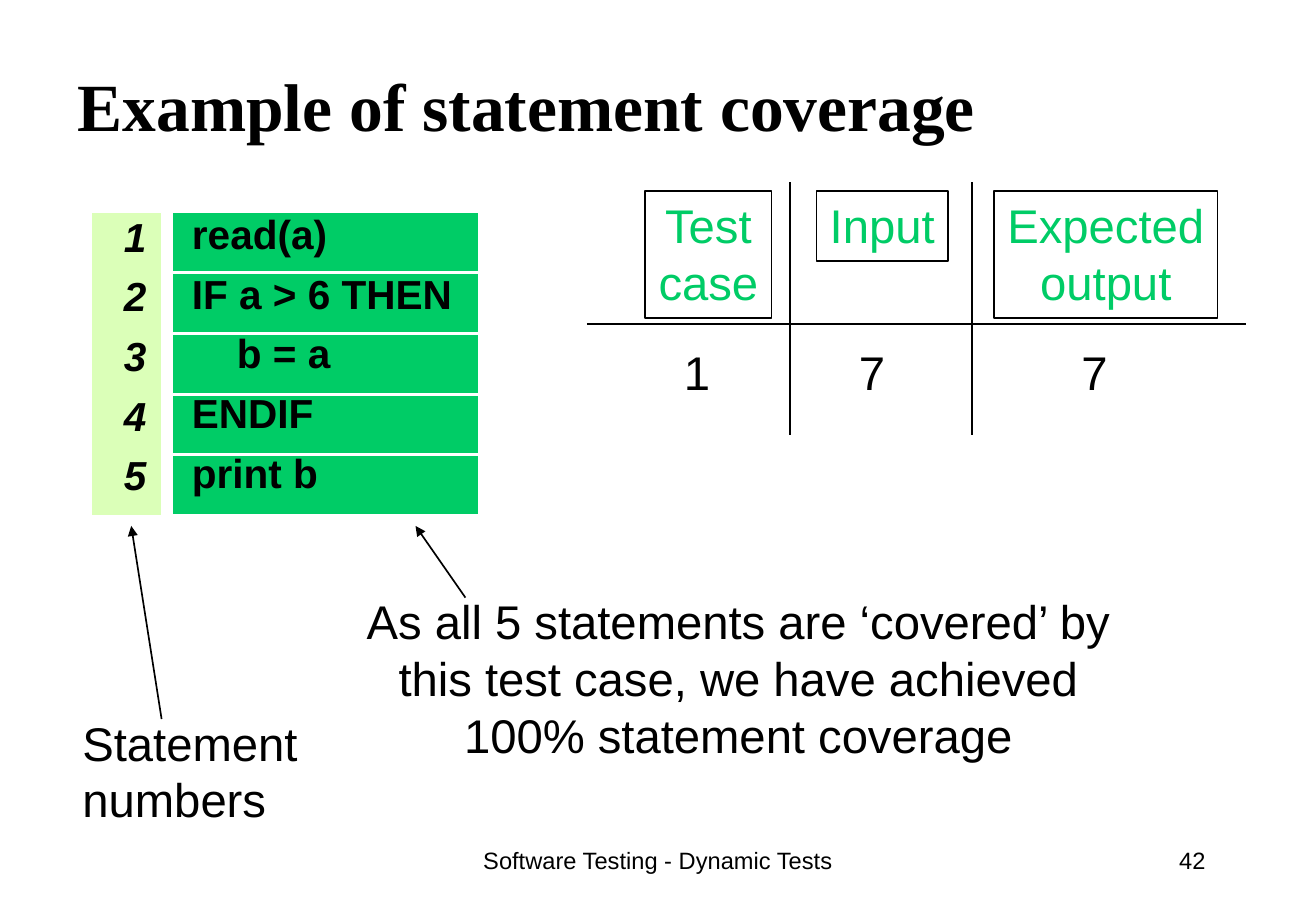
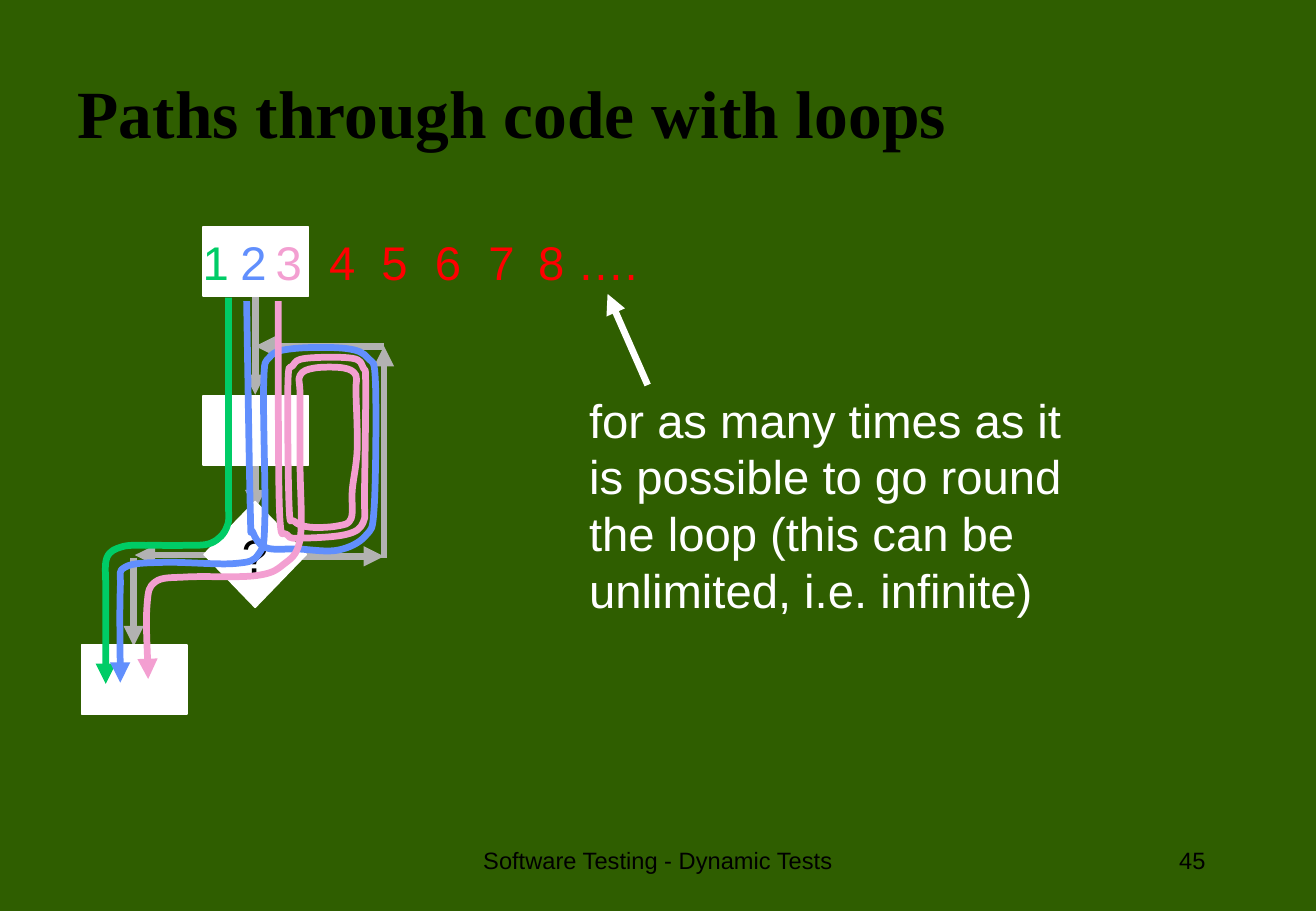
from dataclasses import dataclass

from lxml import etree
from pptx import Presentation
from pptx import util as u
from pptx.dml import color as colors
from pptx.enum import shapes, text
from pptx.oxml import ns

PX = 9144


@dataclass(frozen=True)
class Theme:
    black: str = "000000"
    white: str = "FFFFFF"
    forest: str = "2F5E00"
    green: str = "00CC66"
    lime: str = "DBFFB8"
    grey: str = "B2B2B2"
    blue: str = "618FFD"
    pink: str = "F39FD1"
    red: str = "FF0000"
    title_font: str = "Times New Roman"
    body_font: str = "Arial"
    title_size: int = 40
    body_size: int = 28
    code_size: int = 24
    footer_size: int = 14


theme = Theme()
align = text.PP_ALIGN
anchors = text.MSO_ANCHOR
presets = shapes.MSO_SHAPE


def add_box(slide, box, content="", color=theme.black, size=theme.body_size, alignment=align.LEFT,
            anchor=anchors.TOP, fill=None, outline=None, preset=presets.RECTANGLE):
    place = [value * PX for value in box]
    if fill or outline:
        shape = slide.shapes.add_shape(preset, *place)
        shape.shadow.inherit = False
        shape.line.color.rgb = colors.RGBColor.from_string(outline)
        shape.line.width = u.Pt(1)
        if fill:
            shape.fill.solid()
            shape.fill.fore_color.rgb = colors.RGBColor.from_string(fill)
        else:
            shape.fill.background()
    else:
        shape = slide.shapes.add_textbox(*place)
    if content:
        frame = shape.text_frame
        frame.text = content
        frame.word_wrap = False
        frame.vertical_anchor = anchor
        for paragraph in frame.paragraphs:
            paragraph.alignment = alignment
            for run in paragraph.runs:
                run.font.name = theme.body_font
                run.font.size = u.Pt(size)
                run.font.color.rgb = colors.RGBColor.from_string(color)
    return shape


def style_line(shape, color, width, arrow=True):
    shape.line.color.rgb = colors.RGBColor.from_string(color)
    shape.line.width = u.Pt(width)
    if arrow:
        etree.SubElement(shape.line._get_or_add_ln(), ns.qn("a:tailEnd"), type="triangle")
    etree.SubElement(shape._element.spPr, ns.qn("a:effectLst"))


presentation = Presentation()
presentation.slide_width = 1083 * PX
presentation.slide_height = 750 * PX
layout = presentation.slide_layouts[5]
layout_title = layout.placeholders[0]
layout_title.left, layout_title.top, layout_title.width, layout_title.height = (
    value * PX for value in (54, 58, 921, 67))

slides = []
for heading, number, background, spacing in (
    ("Example of statement coverage", "42", theme.white, 0.85),
    ("Paths through code with loops", "45", theme.forest, 1.0),
):
    slide = presentation.slides.add_slide(layout)
    slide.background.fill.solid()
    slide.background.fill.fore_color.rgb = colors.RGBColor.from_string(background)
    title = slide.shapes.title
    title.text_frame.text = heading
    title.text_frame.vertical_anchor = anchors.MIDDLE
    paragraph = title.text_frame.paragraphs[0]
    paragraph.alignment = align.LEFT
    paragraph.line_spacing = spacing
    font = paragraph.runs[0].font
    font.name, font.size, font.bold = theme.title_font, u.Pt(theme.title_size), True
    font.color.rgb = colors.RGBColor.from_string(theme.black)
    add_box(slide, (370, 683, 343, 50), "Software Testing - Dynamic Tests", size=theme.footer_size,
            alignment=align.CENTER, anchor=anchors.MIDDLE)
    add_box(slide, (776, 683, 226, 50), number, size=theme.footer_size,
            alignment=align.RIGHT, anchor=anchors.MIDDLE)
    slides.append(slide)
coverage, loops = slides

for row in range(5):
    add_box(coverage, (142, 175 + 50 * row, 252, 49), fill=theme.green, outline=theme.white)
add_box(coverage, (75, 175, 58, 250), fill=theme.lime, outline=theme.white)
code = add_box(coverage, (151, 175, 249, 243), "read(a)\nIF a > 6 THEN\nb = a\nENDIF\nprint b",
               size=theme.code_size)
code.text_frame.margin_left = code.text_frame.margin_right = 7 * PX
code.text_frame.margin_top = code.text_frame.margin_bottom = 3 * PX
code.text_frame.word_wrap = True
code.text_frame.paragraphs[2]._p.get_or_add_pPr().set("marL", str(37 * PX))
numbers = add_box(coverage, (92, 175, 42, 241), "1\n2\n3\n4\n5", size=theme.code_size,
                  anchor=anchors.MIDDLE)
for shape in (code, numbers):
    for index, paragraph in enumerate(shape.text_frame.paragraphs):
        paragraph.line_spacing = 0.86
        paragraph.space_before = u.Pt(10.6 if index else 0)
        paragraph.runs[0].font.bold = True
        paragraph.runs[0].font.italic = shape is numbers

for box, label in (
    ((531, 157, 104, 105), "Test\ncase"),
    ((672, 157, 108, 58), "Input"),
    ((818, 157, 184, 105), "Expected\noutput"),
):
    add_box(coverage, box, label, theme.green, alignment=align.CENTER, outline=theme.black)
for left, value in ((553, "1"), (697, "7"), (880, "7")):
    add_box(coverage, (left, 278, 42, 57), value)
add_box(coverage, (290, 483, 635, 150),
        "As all 5 statements are ‘covered’ by\nthis test case, we have achieved\n100% statement coverage",
        alignment=align.CENTER)
add_box(coverage, (58, 583, 198, 103), "Statement\nnumbers", anchor=anchors.MIDDLE)

straight_lines = [
    (coverage, (483, 267, 1025, 267), theme.black, 1, False),
    (coverage, (650, 150, 650, 358), theme.black, 1, False),
    (coverage, (800, 150, 800, 358), theme.black, 1, False),
    (coverage, (133, 592, 108, 433), theme.black, 1, True),
    (coverage, (383, 492, 342, 433), theme.black, 1, True),
    (loops, (533, 317, 500, 242), theme.white, 4, True),
]
flow = [
    (210, 354, 210, 420), (316, 285, 210, 285), (210, 229, 210, 325), (316, 459, 316, 285),
    (210, 457, 111, 457), (240, 458, 316, 458), (110, 459, 110, 532),
]
straight_lines += [(loops, ends, theme.grey, 4, True) for ends in flow]
for slide, ends, color, width, arrow in straight_lines:
    connector = slide.shapes.add_connector(shapes.MSO_CONNECTOR.STRAIGHT, *(value * PX for value in ends))
    style_line(connector, color, width, arrow)

for left, top in ((167, 187), (167, 326), (67, 531)):
    add_box(loops, (left, top, 87, 57), fill=theme.white, outline=theme.white)
add_box(loops, (168, 413, 84, 87), "?", alignment=align.CENTER, anchor=anchors.MIDDLE,
        fill=theme.white, outline=theme.white, preset=presets.DIAMOND)

routes = [
    (theme.green, [
        (188, 245), (188, 296), (188, 406), (187, 433), (174, 447), (151, 449), (123, 449),
        (101, 450), (88, 459), (87, 484), (87, 515), (87, 563)]),
    (theme.blue, [
        (203, 248), (206, 419), (208, 438), (219, 451), (245, 452), (278, 453), (301, 441),
        (308, 417), (309, 315), (303, 295), (285, 287), (242, 287), (222, 294), (217, 317),
        (218, 427), (213, 456), (193, 464), (135, 463), (103, 467), (99, 485), (99, 562)]),
    (theme.pink, [
        (229, 248), (230, 418), (236, 440), (249, 443), (285, 440), (299, 430), (300, 406),
        (301, 317), (299, 303), (290, 295), (252, 295), (241, 301), (237, 316), (238, 417),
        (242, 429), (255, 434), (278, 433), (289, 427), (290, 403), (294, 370), (293, 322),
        (293, 309), (283, 303), (259, 303), (247, 309), (247, 326), (247, 383), (247, 444),
        (233, 465), (210, 474), (154, 475), (128, 479), (121, 499), (122, 559)]),
]
for color, points in routes:
    points = [(x * PX, y * PX) for x, y in points]
    builder = loops.shapes.build_freeform(*points[0])
    builder.add_line_segments(points[1:], close=False)
    route = builder.convert_to_shape()
    route.fill.background()
    style_line(route, color, 4)
    local = [(int(point.get("x")), int(point.get("y"))) for point in route._element.xpath(".//a:path//a:pt")]
    padded = [local[0], *local, local[-1]]
    for index, segment in enumerate(route._element.xpath(".//a:lnTo")):
        before, start, end, after = padded[index:index + 4]
        curve = etree.Element(ns.qn("a:cubicBezTo"))
        for x, y in (
            [s + (e - b) // 6 for b, s, e in zip(before, start, end)],
            [e - (a - s) // 6 for s, e, a in zip(start, end, after)],
            end,
        ):
            etree.SubElement(curve, ns.qn("a:pt"), x=str(x), y=str(y))
        segment.getparent().replace(segment, curve)

for left, label, color in (
    (157, "1", theme.green), (188, "2", theme.blue), (217, "3", theme.pink), (261, "4", theme.red),
    (304, "5", theme.red), (348, "6", theme.red), (392, "7", theme.red), (433, "8 ….", theme.red),
):
    add_box(loops, (left, 187, 42 if len(label) == 1 else 102, 57), label, color)
add_box(loops, (475, 317, 410, 197),
        "for as many times as it\nis possible to go round\nthe loop (this can be\nunlimited, i.e. infinite)",
        theme.white)

presentation.save("out.pptx")
